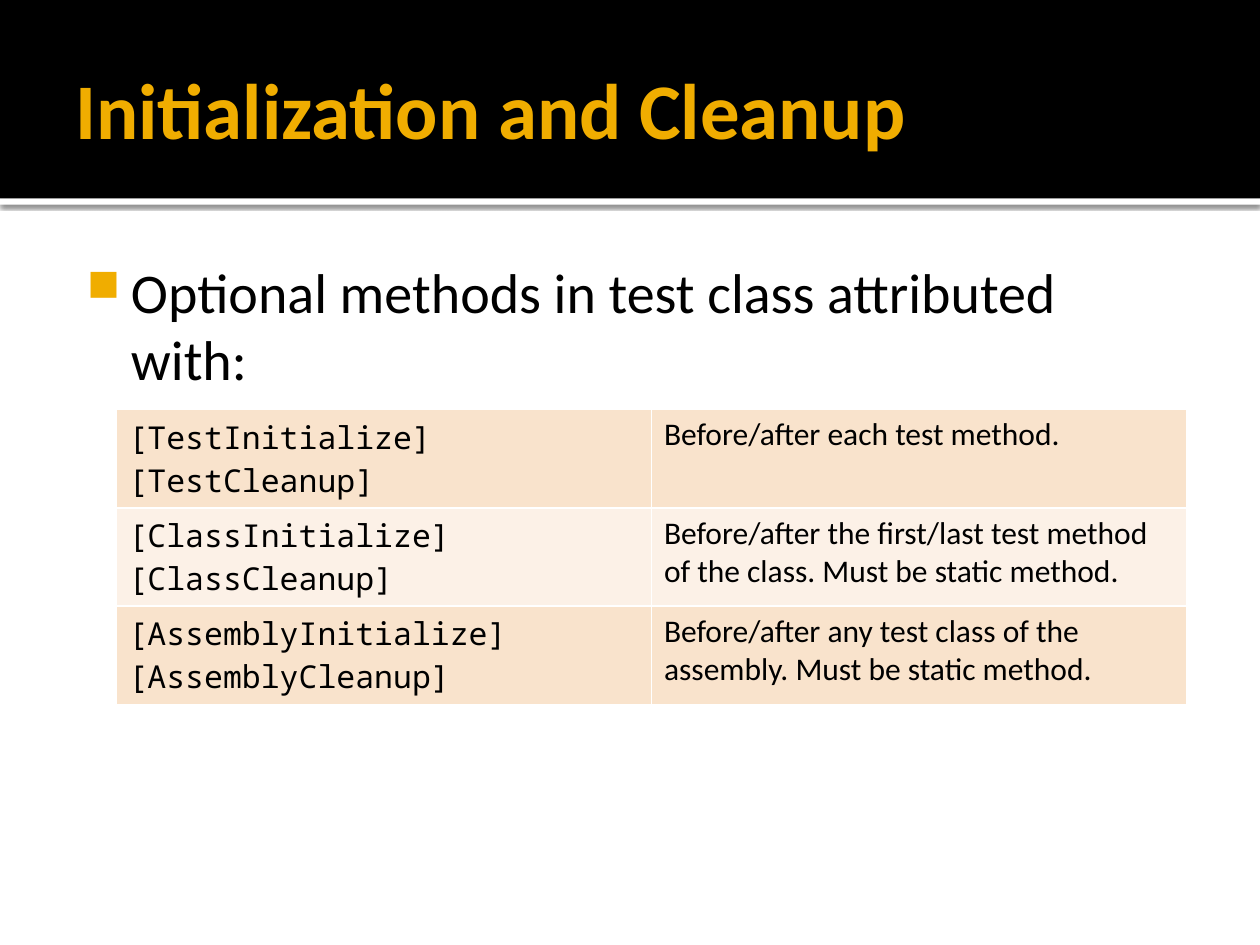
from dataclasses import dataclass

from lxml import etree
from pptx import Presentation
from pptx.dml.color import RGBColor
from pptx.enum.shapes import MSO_SHAPE
from pptx.enum.text import MSO_ANCHOR
from pptx.oxml.ns import qn
from pptx.util import Inches, Pt

RECTANGLE = MSO_SHAPE.RECTANGLE
TOP, MIDDLE = MSO_ANCHOR.TOP, MSO_ANCHOR.MIDDLE
WIDTH, HEIGHT = 10, 7.5
MARGIN = 0.05 * WIDTH
BANNER_HEIGHT = 0.21 * HEIGHT
ROW_HEIGHT = 0.78

METHODS = [
    ("[TestInitialize]\n[TestCleanup]", "Before/after each test method."),
    ("[ClassInitialize]\n[ClassCleanup]",
     "Before/after the first/last test method of the class. Must be static method."),
    ("[AssemblyInitialize]\n[AssemblyCleanup]",
     "Before/after any test class of the assembly. Must be static method."),
]


@dataclass(frozen=True)
class Theme:
    accent: str = "F0AD00"
    dark: str = "000000"
    light: str = "FFFFFF"
    bands: tuple = ("F9E3CC", "FCF1E7")
    body_font: str = "Calibri"
    code_font: str = "Noto Sans Mono"
    title_size: int = 45
    body_size: int = 32
    table_size: int = 18


THEME = Theme()


def add_element(parent, tag, **attributes):
    element = etree.SubElement(parent, qn(tag))
    for name, value in attributes.items():
        element.set(name, str(value))
    return element


def style_font(font, name, size, color, bold=False):
    font.name, font.size, font.bold = name, Pt(size), bold
    font.color.rgb = RGBColor.from_string(color)


def add_band(slide, top, height, color):
    """Add a full-width rectangle."""
    band = slide.shapes.add_shape(
        RECTANGLE, 0, Inches(top), Inches(WIDTH), Inches(height))
    band.shadow.inherit = False
    band.fill.solid()
    band.fill.fore_color.rgb = RGBColor.from_string(color)
    band.line.fill.background()
    return band


def add_shadow(shape):
    effects = shape._element.spPr.find(qn("a:effectLst"))
    shadow = add_element(effects, "a:outerShdw", blurRad=Pt(2.5), dist=Pt(0.8),
                         dir=90 * 60000, algn="tl", rotWithShape=0)
    color = add_element(shadow, "a:srgbClr", val=THEME.dark)
    add_element(color, "a:alpha", val=60000)


def add_text(slide, text, top, height, insets, anchor):
    """Add a text box between the side margins and return its paragraph."""
    box = slide.shapes.add_textbox(Inches(MARGIN), Inches(top),
                                   Inches(WIDTH - 2 * MARGIN), Inches(height))
    frame = box.text_frame
    frame.word_wrap = True
    frame.vertical_anchor = anchor
    (frame.margin_left, frame.margin_top,
     frame.margin_right, frame.margin_bottom) = map(Inches, insets)
    paragraph = frame.paragraphs[0]
    paragraph.text = text
    return paragraph


def add_bullet(paragraph):
    properties = paragraph._p.get_or_add_pPr()
    properties.set("marL", str(Inches(0.48)))
    properties.set("indent", str(Inches(-0.35)))
    color = add_element(properties, "a:buClr")
    add_element(color, "a:srgbClr", val=THEME.accent)
    add_element(properties, "a:buSzPct", val=80000)
    add_element(properties, "a:buChar", char="■")


def add_borders(cell):
    properties = cell._tc.get_or_add_tcPr()
    for position, side in enumerate(("a:lnL", "a:lnR", "a:lnT", "a:lnB")):
        line = etree.Element(qn(side), w=str(Pt(1)))
        fill = add_element(line, "a:solidFill")
        add_element(fill, "a:srgbClr", val=THEME.light)
        properties.insert(position, line)


def add_method_table(slide, left, top, width):
    table = slide.shapes.add_table(
        len(METHODS), 2, Inches(left), Inches(top), Inches(width),
        Inches(ROW_HEIGHT * len(METHODS))).table
    table.first_row = table.horz_banding = False
    for row, texts in enumerate(METHODS):
        band = THEME.bands[row % len(THEME.bands)]
        for column, font in enumerate((THEME.code_font, THEME.body_font)):
            cell = table.cell(row, column)
            cell.fill.solid()
            cell.fill.fore_color.rgb = RGBColor.from_string(band)
            add_borders(cell)
            paragraph = cell.text_frame.paragraphs[0]
            paragraph.text = texts[column]
            style_font(paragraph.font, font, THEME.table_size, THEME.dark)


def main():
    presentation = Presentation()
    presentation.slide_width = Inches(WIDTH)
    presentation.slide_height = Inches(HEIGHT)
    slide = presentation.slides.add_slide(presentation.slide_layouts[6])

    add_shadow(add_band(slide, BANNER_HEIGHT, 0.05, THEME.light))
    add_band(slide, 0, BANNER_HEIGHT, THEME.dark)

    title = add_text(slide, "Initialization and Cleanup", 0.17, 1.37,
                     (0.1, 0.05, 0.05, 0.05), MIDDLE)
    style_font(title.font, THEME.body_font, THEME.title_size, THEME.accent, bold=True)

    body = add_text(slide, "Optional methods in test class attributed with:",
                    1.94, 5.06, (0.06, 0.1, 0.1, 0.05), TOP)
    add_bullet(body)
    style_font(body.font, THEME.body_font, THEME.body_size, THEME.dark)

    add_method_table(slide, 0.92, 3.25, 0.85 * WIDTH)
    presentation.save("out.pptx")


if __name__ == "__main__":
    main()
